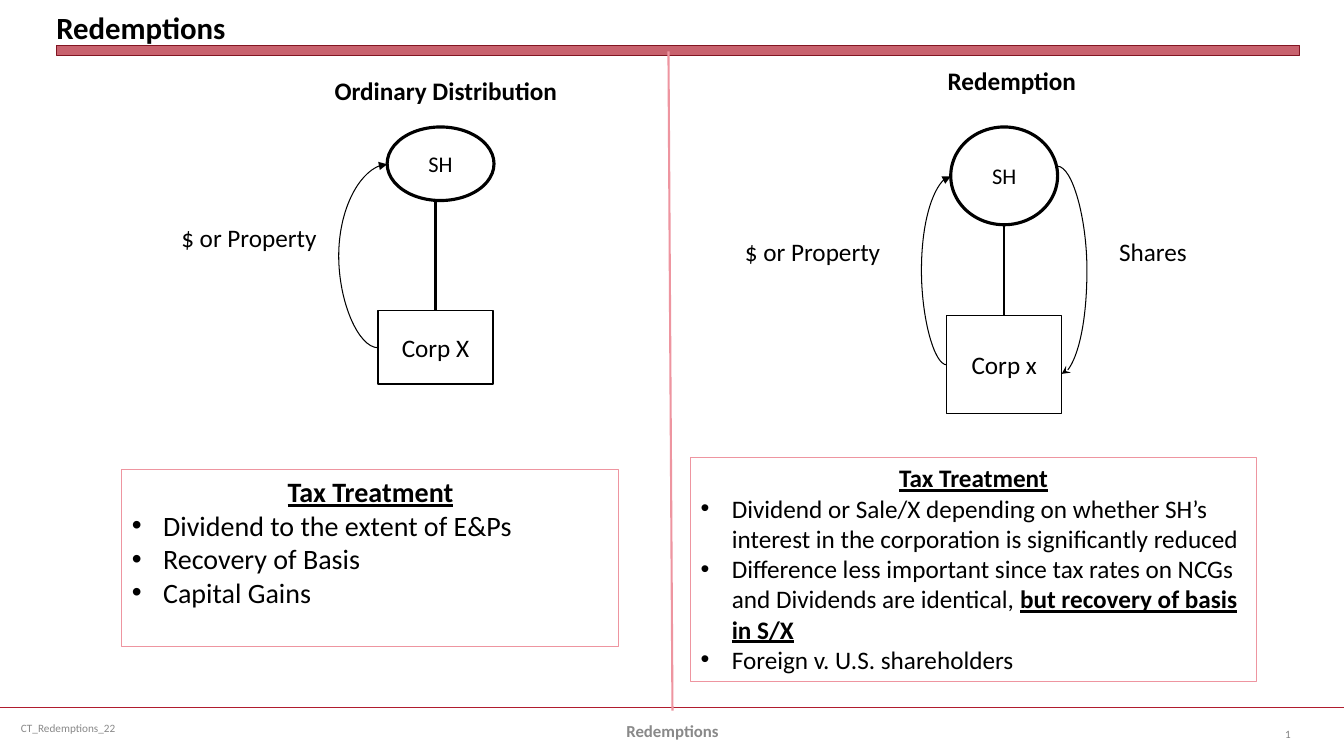
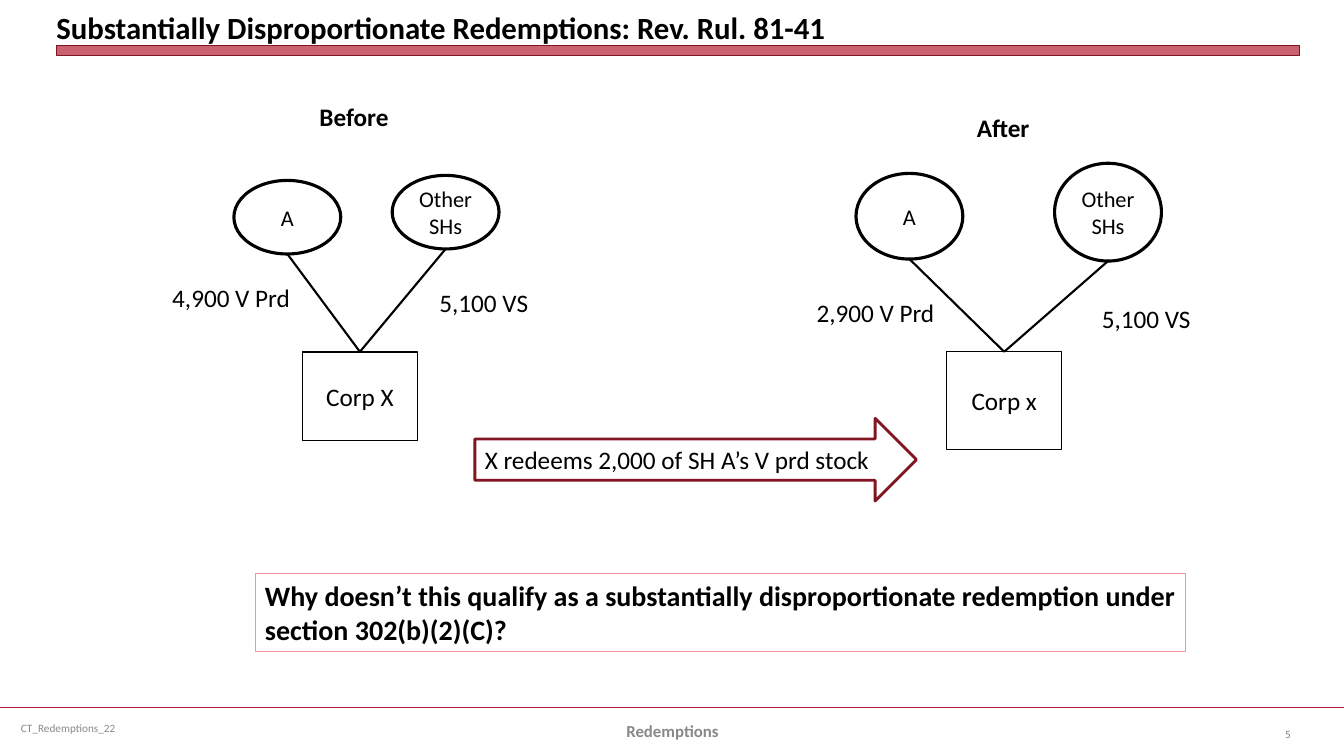
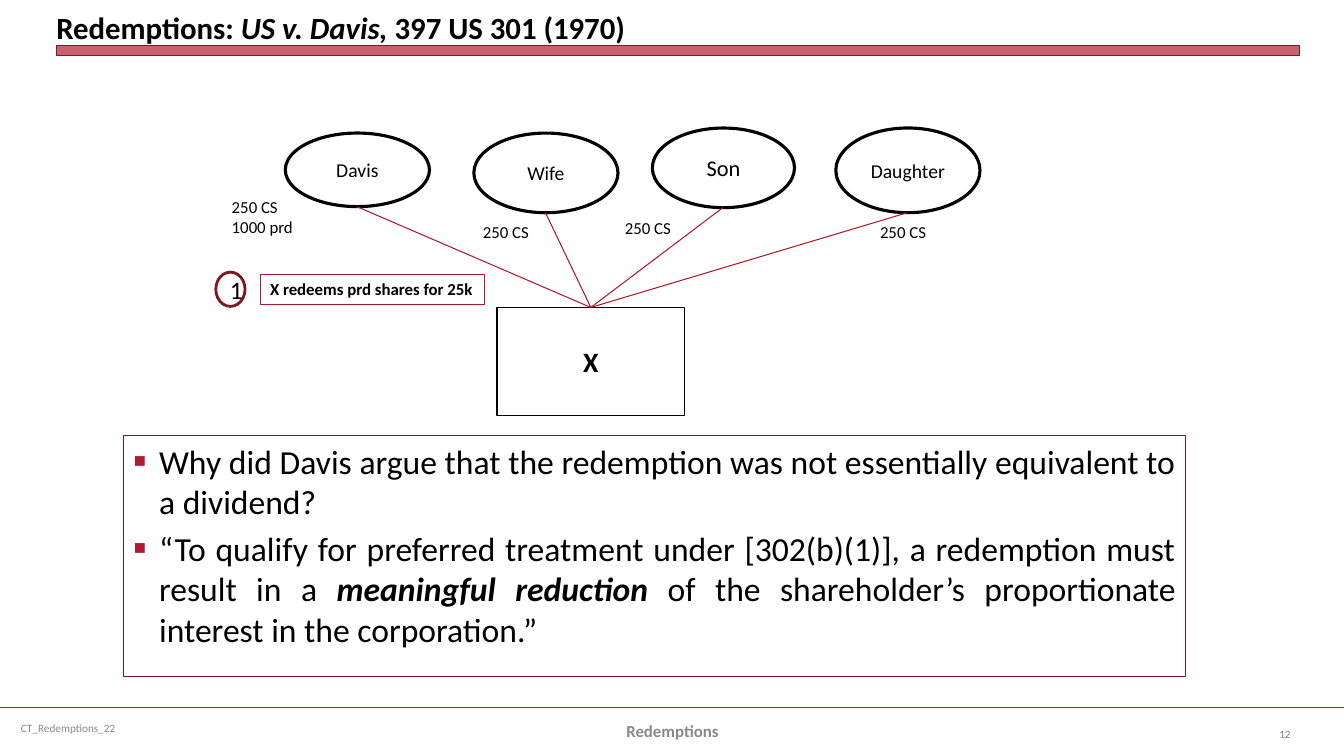
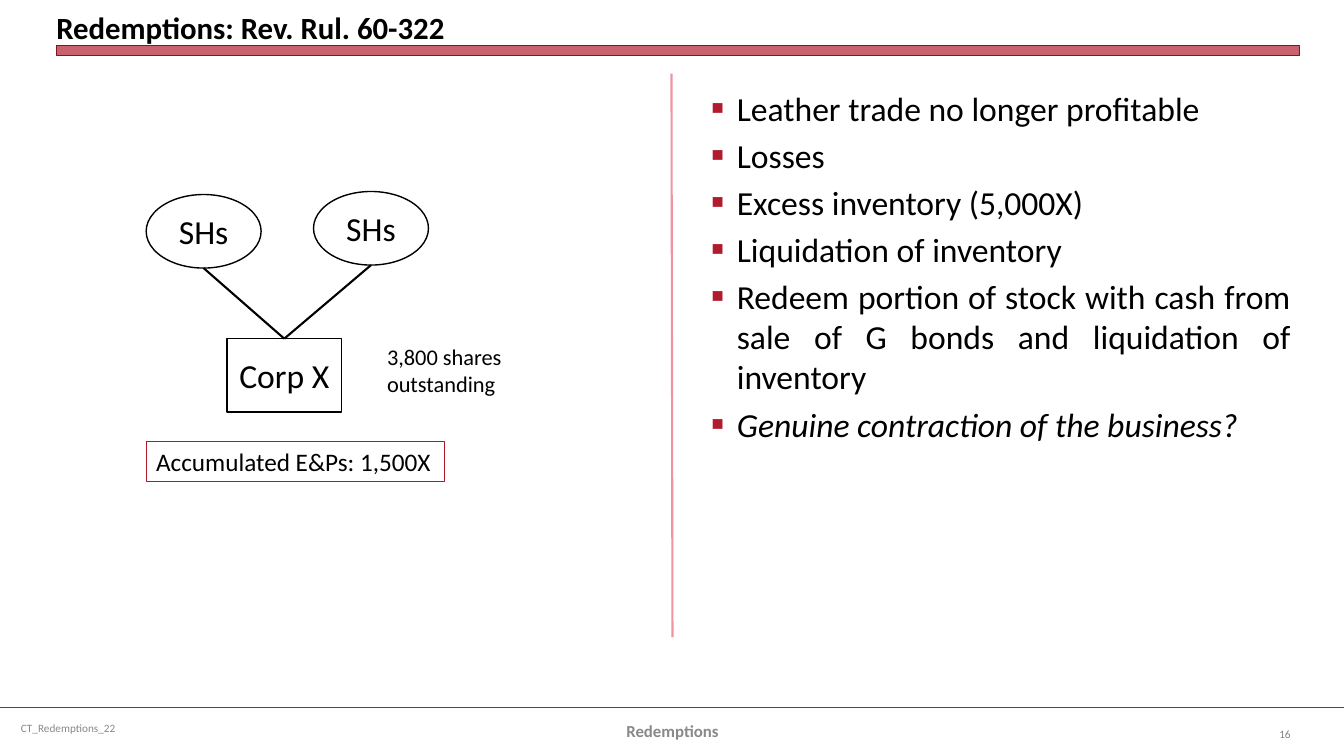
from dataclasses import dataclass

from lxml.etree import SubElement
from pptx import Presentation
from pptx.dml.color import RGBColor
from pptx.enum.shapes import MSO_CONNECTOR, MSO_SHAPE
from pptx.enum.text import MSO_ANCHOR, PP_ALIGN
from pptx.oxml.ns import qn
from pptx.util import Pt

PX = 9144
FONT = "Calibri"
BLACK = RGBColor(0x00, 0x00, 0x00)
CRIMSON = RGBColor(0xB0, 0x1C, 0x2E)
SCARLET = RGBColor(0xB0, 0x18, 0x2A)
MAROON = RGBColor(0x82, 0x15, 0x22)
PINK = RGBColor(0xEE, 0x95, 0xA0)
FOOTER_GRAY = RGBColor(0x89, 0x89, 0x89)
NUMBER_GRAY = RGBColor(0x80, 0x80, 0x80)


@dataclass
class Box:
    left: int
    top: int
    width: int
    height: int

    def inside(self, left, top, width, height):
        return Box(self.left + left, self.top + top, width, height)

    def emu(self):
        return [v * PX for v in (self.left, self.top, self.width, self.height)]


@dataclass
class Bullet:
    mark: str
    indent: int
    color: RGBColor = None
    percent: int = 100


@dataclass
class Para:
    runs: list
    align: PP_ALIGN = PP_ALIGN.LEFT
    bullet: Bullet = None


DOT = Bullet("•", 31)
SQUARE = Bullet("■", 25, CRIMSON, 60)
PAGE = Box(0, 0, 1333, 750)
LEFT_HALF = Box(0, 55, 667, 645)
RIGHT_HALF = Box(667, 55, 666, 645)
CONTENT = Box(0, 55, 1333, 645)


def set_bullet(paragraph, bullet):
    props = paragraph._p.get_or_add_pPr()
    props.set("marL", str(bullet.indent * PX))
    props.set("indent", str(-bullet.indent * PX))
    if bullet.color is not None:
        color = SubElement(props, qn("a:buClr"))
        SubElement(color, qn("a:srgbClr"), val=str(bullet.color))
    SubElement(props, qn("a:buSzPct"), val=str(bullet.percent * 1000))
    SubElement(props, qn("a:buFont"), typeface="Arial")
    SubElement(props, qn("a:buChar"), char=bullet.mark)


def write(frame, paras, size, color=BLACK, gap=0):
    for index, para in enumerate(paras):
        paragraph = frame.paragraphs[0] if index == 0 else frame.add_paragraph()
        paragraph.alignment = para.align
        if gap and index:
            paragraph.space_before = Pt(gap)
        if para.bullet:
            set_bullet(paragraph, para.bullet)
        for text, marks in para.runs:
            for number, line in enumerate(text.split("\n")):
                if number:
                    paragraph.add_line_break()
                run = paragraph.add_run()
                run.text = line
                run.font.name = FONT
                run.font.size = Pt(size)
                run.font.color.rgb = color
                run.font.bold = "b" in marks
                run.font.italic = "i" in marks
                run.font.underline = "u" in marks


def one(text, marks="", align=PP_ALIGN.LEFT, bullet=None):
    return Para([(text, marks)], align, bullet)


def add_text(slide, box, paras, size, color=BLACK, wrap=True, outline=None,
             anchor=MSO_ANCHOR.TOP, gap=0):
    area = slide.shapes.add_textbox(*box.emu())
    frame = area.text_frame
    frame.word_wrap = wrap
    frame.vertical_anchor = anchor
    if outline is not None:
        area.line.color.rgb = outline
        area.line.width = Pt(0.75)
    write(frame, paras, size, color, gap)
    return area


def add_outline(slide, preset, box, para, size, weight, color=BLACK):
    outline = slide.shapes.add_shape(preset, *box.emu())
    outline.shadow.inherit = False
    outline.fill.background()
    outline.line.color.rgb = color
    outline.line.width = Pt(weight)
    outline.text_frame.word_wrap = True
    outline.text_frame.vertical_anchor = MSO_ANCHOR.MIDDLE
    write(outline.text_frame, [para], size)
    return outline


def add_line(slide, start, end, color, weight, kind=MSO_CONNECTOR.STRAIGHT):
    line = slide.shapes.add_connector(kind, *[v * PX for v in (*start, *end)])
    line.line.color.rgb = color
    line.line.width = Pt(weight)
    SubElement(line._element.spPr, qn("a:effectLst"))
    return line


def add_transfer(slide, box, start, end, bulge, arrow):
    points = [(box.left + x, box.top + y) for x, y in (start, end)]
    curve = add_line(slide, *points, BLACK, 0.75, MSO_CONNECTOR.CURVE)
    reach = bulge / (end[0] - start[0])
    if end[0] < start[0]:
        reach = -bulge / (start[0] - end[0])
    guides = curve._element.spPr.find(qn("a:prstGeom")).get_or_add_avLst()
    SubElement(guides, qn("a:gd"), name="adj1", fmla=f"val {round(reach * 100000)}")
    tag, kind = arrow
    SubElement(curve.line._get_or_add_ln(), qn(tag), type=kind)


def ownership(slide, box, corp, owners, corp_size=18, corp_marks="", owner_size=16,
              owner_weight=2.25, link=(BLACK, 1.5), straight=False):
    name, *place = corp
    corp_box = box.inside(*place)
    company = add_outline(slide, MSO_SHAPE.RECTANGLE, corp_box,
                          one(name, corp_marks, PP_ALIGN.CENTER), corp_size, 1)
    corp_top = (corp_box.left + corp_box.width // 2, corp_box.top)
    for owner, size, *place in owners:
        owner_box = box.inside(*place)
        add_outline(slide, MSO_SHAPE.OVAL, owner_box, one(owner, "", PP_ALIGN.CENTER),
                    size or owner_size, owner_weight)
        center = owner_box.left + owner_box.width // 2
        foot = (corp_top[0] if straight else center, owner_box.top + owner_box.height)
        add_line(slide, foot, corp_top, *link).end_connect(company, 0)


def labels(slide, box, entries, size=18, marks="", wrap=False):
    for text, left, top, width in entries:
        lines = text.split("\n")
        add_text(slide, box.inside(left, top, width, 40),
                 [one(line, marks) for line in lines], size, wrap=wrap)


def tax_treatment(slide, box, points, size):
    heading = one("Tax Treatment", "bu", PP_ALIGN.CENTER)
    items = [Para(runs, bullet=DOT) for runs in points]
    add_text(slide, box, [heading, *items], size, outline=PINK)


def discussion(slide, box, points, outline=None):
    paras = [Para(runs, PP_ALIGN.JUSTIFY, SQUARE) for runs in points]
    add_text(slide, box, paras, 24, outline=outline, gap=4.8)


def start_slide(deck, box, title, number):
    slide = deck.slides.add_slide(deck.slide_layouts[6])
    add_line(slide, (box.left, box.top + 702), (box.left + box.width, box.top + 702),
             CRIMSON, 1.25)
    band = slide.shapes.add_shape(MSO_SHAPE.RECTANGLE, *box.inside(56, 45, 1233, 10).emu())
    band.shadow.inherit = False
    band.fill.solid()
    band.fill.fore_color.rgb = CRIMSON
    tint = band._element.spPr.find(qn("a:solidFill")).find(qn("a:srgbClr"))
    SubElement(tint, qn("a:alpha"), val="69000")
    band.line.color.rgb = MAROON
    band.line.width = Pt(0)
    heading = add_text(slide, box.inside(56, 5, 1233, 40), [Para(title)], 22,
                       anchor=MSO_ANCHOR.BOTTOM).text_frame
    heading.margin_left = heading.margin_right = 0
    heading.margin_top = heading.margin_bottom = 0
    footers = [
        ((11, 702, 344, 40), one("CT_Redemptions_22"), 8, FOOTER_GRAY),
        ((456, 705, 422, 40), one("Redemptions", "b", PP_ALIGN.CENTER), 12, FOOTER_GRAY),
        ((1223, 708, 67, 40), one(str(number), "", PP_ALIGN.RIGHT), 8, NUMBER_GRAY),
    ]
    for place, para, size, color in footers:
        add_text(slide, box.inside(*place), [para], size, color, anchor=MSO_ANCHOR.MIDDLE)
    return slide


def redemptions_slide(deck):
    slide = start_slide(deck, PAGE, [("Redemptions", "b")], 1)
    add_line(slide, (663, 51), (667, 705), PINK, 1.5)

    labels(slide, LEFT_HALF, [("Ordinary Distribution", 322, 15, 243)], marks="b")
    ownership(slide, LEFT_HALF, ("Corp X", 375, 253, 114, 73),
              [("SH", 16, 384, 71, 106, 73)], straight=True)
    add_transfer(slide, LEFT_HALF, (375, 290), (384, 108), -39, ("a:tailEnd", "triangle"))
    labels(slide, LEFT_HALF, [("$ or Property", 170, 161, 156)])
    tax_treatment(slide, LEFT_HALF.inside(121, 411, 493, 175), [
        [("Dividend to the extent of E&Ps", "")],
        [("Recovery of Basis", "")],
        [("Capital Gains", "")],
    ], 20)

    labels(slide, RIGHT_HALF, [("Redemption", 263, 5, 149)], marks="b")
    ownership(slide, RIGHT_HALF, ("Corp x", 272, 258, 114, 97),
              [("SH", 16, 276, 71, 106, 97)], straight=True)
    add_transfer(slide, RIGHT_HALF, (272, 307), (276, 120), -25, ("a:tailEnd", "triangle"))
    add_transfer(slide, RIGHT_HALF, (386, 316), (382, 110), 25, ("a:headEnd", "stealth"))
    labels(slide, RIGHT_HALF, [("$ or Property", 62, 175, 156), ("Shares", 433, 175, 88)])
    tax_treatment(slide, RIGHT_HALF.inside(18, 399, 561, 222), [
        [("Dividend or Sale/X depending on whether SH’s interest in the corporation "
          "is significantly reduced", "")],
        [("Difference less important since tax rates on NCGs and Dividends are identical, ", ""),
         ("but recovery of basis in S/X", "bu")],
        [("Foreign v. U.S. shareholders", "")],
    ], 18)


def disproportionate_slide(deck):
    slide = start_slide(
        deck, PAGE,
        [("Substantially Disproportionate Redemptions: Rev. Rul. 81-41", "b")], 5)

    labels(slide, LEFT_HALF, [("Before", 307, 41, 89)], marks="b")
    ownership(slide, LEFT_HALF, ("Corp X", 300, 294, 114, 88), [
        ("A", 16, 232, 124, 106, 73),
        ("Other\nSHs", 16, 389, 119, 106, 73),
    ])
    labels(slide, LEFT_HALF, [("4,900 V Prd", 161, 220, 138), ("5,100 VS", 426, 225, 109)])

    labels(slide, RIGHT_HALF, [("After", 292, 52, 74)], marks="b")
    ownership(slide, RIGHT_HALF, ("Corp x", 272, 294, 114, 97), [
        ("A", 16, 182, 117, 106, 85),
        ("Other\nSHs", 16, 379, 107, 106, 97),
    ])
    labels(slide, RIGHT_HALF, [("2,900 V Prd", 133, 235, 138), ("5,100 VS", 416, 241, 109)])

    add_outline(slide, MSO_SHAPE.RIGHT_ARROW, CONTENT.inside(471, 360, 438, 82),
                one("X redeems 2,000 of SH A’s V prd stock"), 18, 2, MAROON)
    add_text(slide, CONTENT.inside(253, 514, 923, 77),
             [one("Why doesn’t this qualify as a substantially disproportionate redemption "
                  "under section 302(b)(2)(C)?", "b")], 20, outline=PINK)


def davis_slide(deck):
    slide = start_slide(deck, PAGE, [("Redemptions: ", "b"), ("US v. Davis, ", "bi"),
                                     ("397 US 301 (1970)", "b")], 12)
    ownership(slide, CONTENT, ("X", 493, 250, 186, 107), [
        ("Davis", 14, 283, 77, 143, 73),
        ("Wife", 14, 470, 77, 143, 79),
        ("Son", 16, 647, 72, 141, 79),
        ("Daughter", 14, 829, 72, 143, 84),
    ], corp_size=20, corp_marks="b", link=(SCARLET, 0.75))
    labels(slide, CONTENT, [
        ("250 CS\n1000 prd", 220, 135, 101),
        ("250 CS", 469, 160, 86),
        ("250 CS", 610, 156, 86),
        ("250 CS", 863, 160, 86),
    ], size=12, wrap=True)
    add_outline(slide, MSO_SHAPE.OVAL, CONTENT.inside(214, 215, 29, 34),
                one("1", "", PP_ALIGN.CENTER), 18, 2, MAROON)
    add_text(slide, CONTENT.inside(258, 217, 223, 30),
             [one("X redeems prd shares for 25k", "b")], 12, wrap=False, outline=SCARLET)
    discussion(slide, CONTENT.inside(123, 377, 1053, 239), [
        [("Why did Davis argue that the redemption was not essentially equivalent "
          "to a dividend?", "")],
        [("“To qualify for preferred treatment under [302(b)(1)], a redemption must "
          "result in a ", ""),
         ("meaningful reduction ", "bi"),
         ("of the shareholder’s proportionate interest in the corporation.”", "")],
    ], MAROON)


def contraction_slide(deck):
    slide = start_slide(deck, PAGE, [("Redemptions: Rev. Rul. 60-322", "b")], 16)
    add_line(slide, (666, 73), (667, 632), PINK, 1.5)
    ownership(slide, LEFT_HALF, ("Corp X", 225, 281, 114, 73), [
        ("SHs", 24, 145, 138, 114, 73),
        ("SHs", 24, 311, 135, 114, 73),
    ], corp_size=24, owner_weight=1)
    labels(slide, LEFT_HALF, [("3,800 shares\noutstanding", 374, 281, 135)], size=16)
    add_text(slide, LEFT_HALF.inside(145, 383, 296, 40),
             [one("Accumulated E&Ps: 1,500X")], 18, outline=SCARLET)
    discussion(slide, RIGHT_HALF.inside(29, 27, 594, 599), [
        [("Leather trade no longer profitable", "")],
        [("Losses", "")],
        [("Excess inventory (5,000X)", "")],
        [("Liquidation of inventory", "")],
        [("Redeem portion of stock with cash from sale of G bonds and liquidation "
          "of inventory", "")],
        [("Genuine contraction of the business?", "i")],
    ])


def main():
    deck = Presentation()
    deck.slide_width = PAGE.width * PX
    deck.slide_height = PAGE.height * PX
    redemptions_slide(deck)
    disproportionate_slide(deck)
    davis_slide(deck)
    contraction_slide(deck)
    deck.save("out.pptx")


if __name__ == "__main__":
    main()
